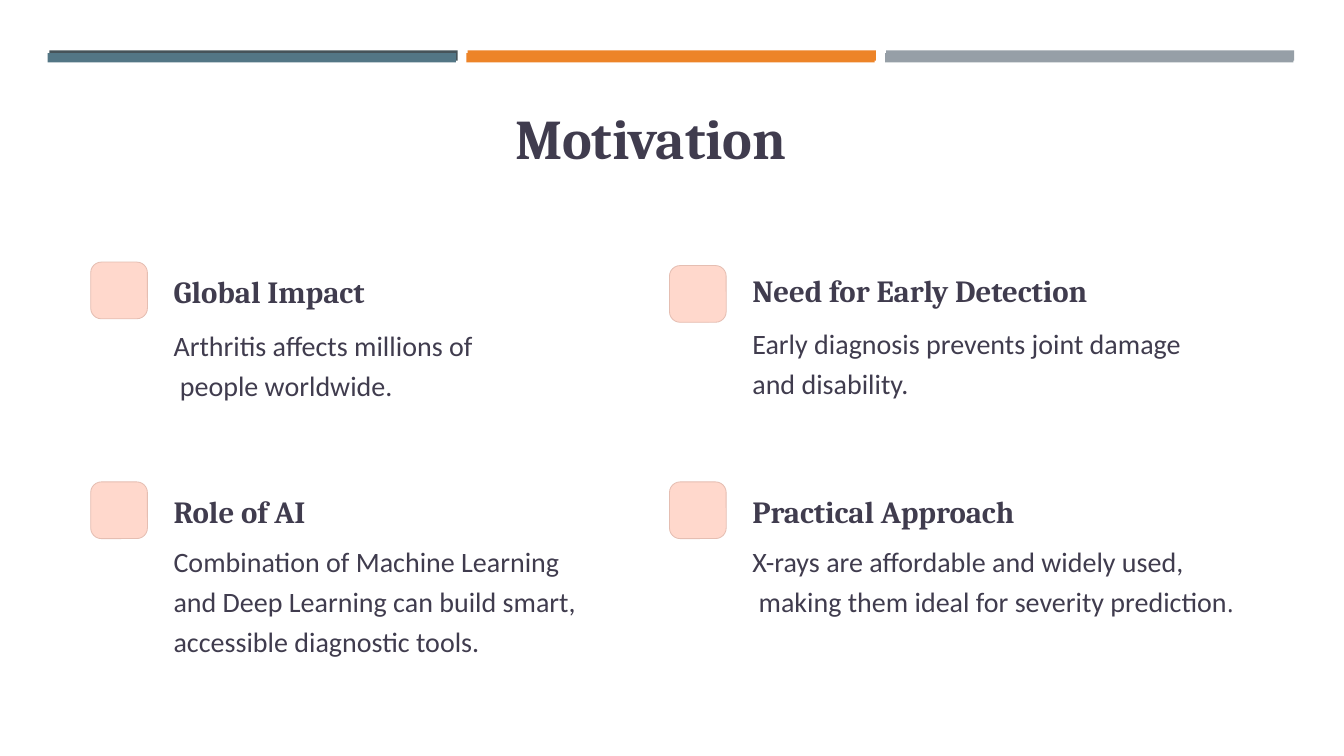
from dataclasses import dataclass

from pptx import Presentation
from pptx.dml.color import RGBColor as Rgb
from pptx.enum.shapes import MSO_SHAPE as Kind
from pptx.enum.text import MSO_ANCHOR as Anchor, PP_ALIGN as Align
from pptx.util import Pt


@dataclass(frozen=True)
class Theme:
    ink: str = "403C4E"
    tile: str = "FFD8CC"
    edge: str = "E5BEB2"
    back: tuple = ("465359", "ED8428", "969FA7")
    front: tuple = ("537685", "ED8428", "969FA7")
    serif: str = "Cambria"
    sans: str = "Calibri"
    stop: str = "Open Sans"
    title: float = 40
    head: float = 22
    body: float = 20
    dot: float = 17.5


def style(run, font, size, color, bold=False):
    run.font.name, run.font.size, run.font.bold = font, Pt(size), bold
    run.font.color.rgb = Rgb.from_string(color)


class Deck:
    def __init__(self, theme):
        self.theme = theme
        self.file = Presentation()
        self.file.slide_width, self.file.slide_height = Pt(960), Pt(540)
        self.slide = self.file.slides.add_slide(self.file.slide_layouts[6])

    def shape(self, kind, box, fill, edge=None):
        item = self.slide.shapes.add_shape(kind, *map(Pt, box))
        item.shadow.inherit = False
        item.fill.solid()
        item.fill.fore_color.rgb = Rgb.from_string(fill)
        if edge:
            item.line.color.rgb = Rgb.from_string(edge)
            item.line.width = Pt(0.6)
        else:
            item.line.fill.background()
        return item

    def bars(self, left, top, step, high, fills):
        for col, fill in enumerate(fills):
            self.shape(Kind.RECTANGLE, (left + col * step, top, 291.6, high), fill)

    def tile(self, left, top):
        item = self.shape(Kind.ROUNDED_RECTANGLE, (left, top, 40.5, 40.5),
                          self.theme.tile, self.theme.edge)
        item.adjustments[0] = 0.187

    def text(self, text, box, font, size, bold=False, lead=None, wrap=False,
             inset=0, align=Align.LEFT, anchor=Anchor.TOP, tail=""):
        """Each line of text is a paragraph; tail ends the last in the stop font."""
        theme = self.theme
        frame = self.slide.shapes.add_textbox(*map(Pt, box)).text_frame
        frame.word_wrap, frame.vertical_anchor = wrap, anchor
        frame.margin_left = frame.margin_right = Pt(inset)
        frame.margin_top = frame.margin_bottom = Pt(inset / 2)
        frame.text = text
        for para in frame.paragraphs:
            para.alignment = align
            if lead:
                para.line_spacing = Pt(lead)
            style(para.runs[0], font, size, theme.ink, bold)
        if tail:
            run = para.add_run()
            run.text = tail
            style(run, theme.stop, theme.dot, theme.ink)

    def point(self, left, tile, head, body, title, text, size, tail=""):
        """Draw a tile, its heading and its body at the three given tops."""
        theme = self.theme
        self.tile(left, tile)
        self.text(title, (left + 59.2, head, 260, 28), theme.serif,
                  theme.head, bold=True, lead=27.5)
        self.text(text, (left + 59.2, body, *size), theme.sans,
                  theme.body, lead=28.5, tail=tail)


def main():
    theme = Theme()
    deck = Deck(theme)
    deck.bars(35.3, 36, 298.8, 7.4, theme.back)
    deck.bars(34, 38, 299.1, 6.6, theme.front)
    deck.text("Motivation", (20.2, 54, 889.2, 71.3), theme.serif, theme.title,
              bold=True, wrap=True, inset=7.2, align=Align.CENTER,
              anchor=Anchor.BOTTOM)

    left, right = 64.8, 478.2
    deck.point(left, 187.2, 193.7, 230, "Global Impact",
               "Arthritis affects millions of\n people worldwide.", (268.6, 56.2))
    deck.point(right, 189.7, 193, 229, "Need for Early Detection",
               "Early diagnosis prevents joint damage\nand disability.",
               (317.5, 74.2))
    deck.point(left, 344.2, 350.6, 384.5, "Role of AI",
               "Combination of Machine Learning\n"
               "and Deep Learning can build smart,\n"
               "accessible diagnostic tools.", (311.8, 117.4))
    deck.point(right, 344.2, 350.6, 384.5, "Practical Approach",
               "X-rays are affordable and widely used,\n"
               " making them ideal for severity prediction", (373.7, 102.2),
               tail=".")
    deck.file.save("out.pptx")


if __name__ == "__main__":
    main()
